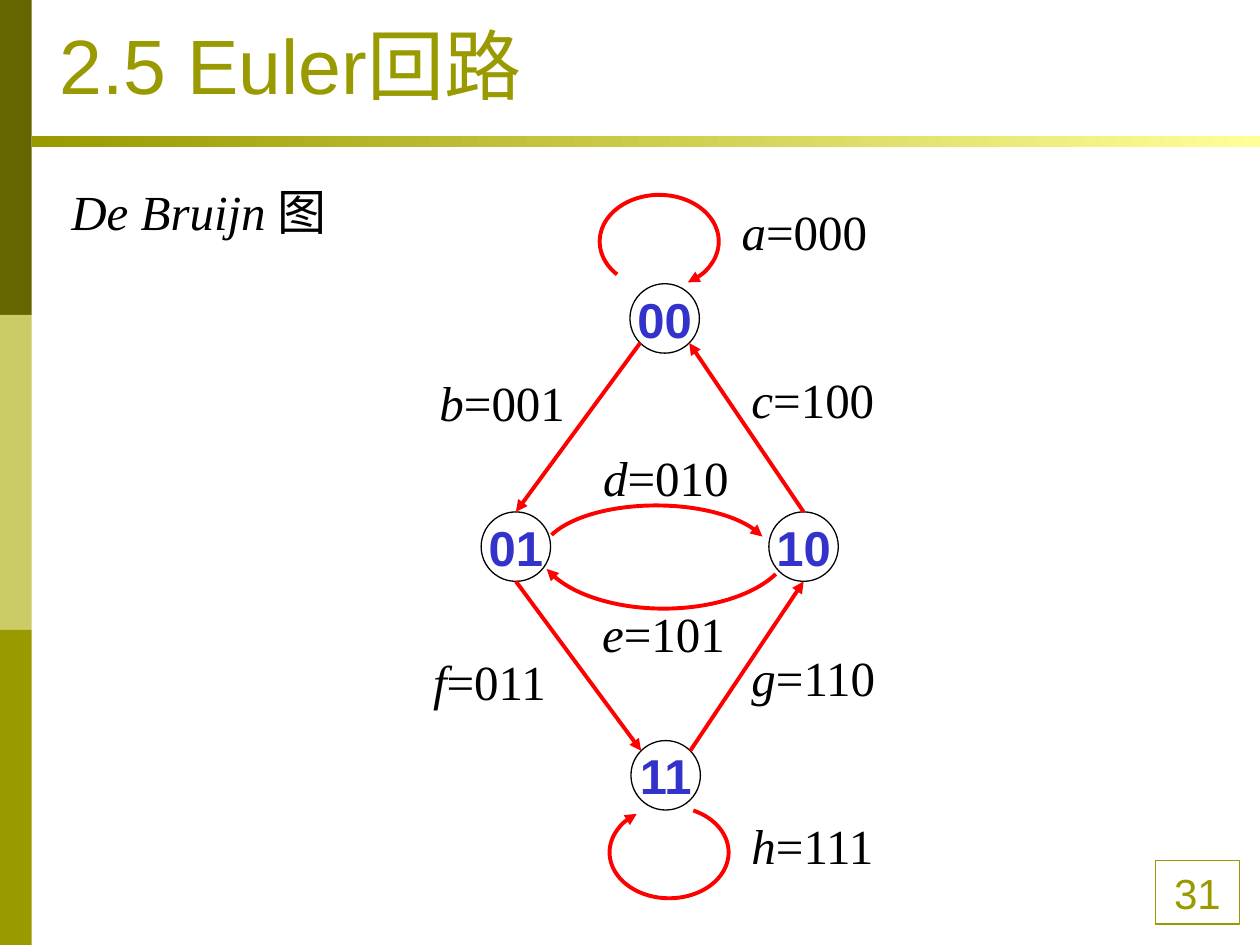
from dataclasses import dataclass
from math import cos, radians, sin

from lxml import etree
from pptx import Presentation
from pptx.dml.color import RGBColor
from pptx.enum.shapes import MSO_CONNECTOR, MSO_SHAPE as Shape
from pptx.enum.text import MSO_ANCHOR as Anchor, PP_ALIGN as Align
from pptx.oxml.ns import qn
from pptx.util import Cm, Pt

OLIVE, RED, BLUE, BLACK, WHITE = "999900", "FF0000", "3333CC", "000000", "FFFFFF"
SLIDE_W, SLIDE_H = 25.4, 19.05
SIDEBAR_W = 0.64
RADIUS = 0.7  # of a graph node


@dataclass(frozen=True)
class Node:
    name: str
    x: float  # centre
    y: float

    def rim(self, angle: float) -> tuple[float, float]:
        """Point on the circle, clockwise from the right."""
        turn = radians(angle)
        return self.x + RADIUS * cos(turn), self.y + RADIUS * sin(turn)


@dataclass(frozen=True)
class Edge:
    source: Node
    leave: float
    target: Node
    arrive: float


@dataclass(frozen=True)
class Arc:
    left: float
    top: float
    width: float
    height: float
    start: float  # degrees, drawn clockwise
    end: float


@dataclass(frozen=True)
class EdgeLabel:
    letter: str
    word: str
    left: float
    top: float


def rgb(code: str) -> RGBColor:
    return RGBColor.from_string(code)


def set_font(font, name: str, size: float, color: str) -> None:
    font.name, font.size = name, Pt(size)
    font.color.rgb = rgb(color)


def add_box(slide, kind, left, top, width, height, fill=None, line=None, weight=0.75):
    box = slide.shapes.add_shape(kind, Cm(left), Cm(top), Cm(width), Cm(height))
    box.shadow.inherit = False
    if fill:
        box.fill.solid()
        box.fill.fore_color.rgb = rgb(fill)
    else:
        box.fill.background()
    if line:
        box.line.color.rgb = rgb(line)
        box.line.width = Pt(weight)
    else:
        box.line.fill.background()
    return box


def write_centred(box, text: str, size: float, color: str, bold: bool) -> None:
    frame = box.text_frame
    frame.margin_left = frame.margin_right = 0
    frame.margin_top = frame.margin_bottom = 0
    frame.word_wrap = False
    frame.vertical_anchor = Anchor.MIDDLE
    paragraph = frame.paragraphs[0]
    paragraph.text, paragraph.alignment = text, Align.CENTER
    set_font(paragraph.font, "Arial", size, color)
    paragraph.font.bold = bold


def add_arrowhead(line) -> None:
    etree.SubElement(line._get_or_add_ln(), qn("a:tailEnd"), type="triangle")


def draw_node(slide, node: Node) -> None:
    circle = add_box(slide, Shape.OVAL, node.x - RADIUS, node.y - RADIUS,
                     2 * RADIUS, 2 * RADIUS, WHITE, BLACK)
    write_centred(circle, node.name, 28, BLUE, True)


def draw_edge(slide, edge: Edge) -> None:
    ends = edge.source.rim(edge.leave) + edge.target.rim(edge.arrive)
    arrow = slide.shapes.add_connector(MSO_CONNECTOR.STRAIGHT, *map(Cm, ends))
    arrow.line.color.rgb = rgb(RED)
    arrow.line.width = Pt(2.25)
    add_arrowhead(arrow.line)
    etree.SubElement(arrow._element.spPr, qn("a:effectLst"))


def draw_arc(slide, arc: Arc) -> None:
    curve = add_box(slide, Shape.ARC, arc.left, arc.top, arc.width, arc.height,
                    line=RED, weight=2.25)
    # Angles are stored in 60000ths, adjustments in 100000ths
    curve.adjustments[0] = arc.start * 0.6
    curve.adjustments[1] = arc.end * 0.6
    add_arrowhead(curve.line)


def draw_text(slide, italic: str, upright: str, left, top, width, height=1.45) -> None:
    frame = slide.shapes.add_textbox(Cm(left), Cm(top), Cm(width), Cm(height)).text_frame
    frame.word_wrap = True
    paragraph = frame.paragraphs[0]
    for text, slanted in ((italic, True), (upright, False)):
        run = paragraph.add_run()
        run.text, run.font.italic = text, slanted
    set_font(paragraph.font, "Times New Roman", 28, BLACK)


def draw_frame(slide) -> None:
    # Sidebar
    band_h = SLIDE_H / 3
    for row, color in enumerate(("666600", "CCCC66", OLIVE)):
        add_box(slide, Shape.RECTANGLE, 0, row * band_h, SIDEBAR_W, band_h, color)
    # Rule under the title
    rule = add_box(slide, Shape.RECTANGLE, SIDEBAR_W, 2.74, SLIDE_W - SIDEBAR_W, 0.23)
    rule.fill.gradient()
    rule.fill.gradient_angle = 0
    for stop, color in zip(rule.fill.gradient_stops, (OLIVE, "FFFF99")):
        stop.color.rgb = rgb(color)
    # Page number
    page = add_box(slide, Shape.RECTANGLE, 23.29, 17.35, 1.7, 1.28, line=OLIVE)
    write_centred(page, "31", 24, OLIVE, False)


def draw_title(slide, text: str) -> None:
    title = slide.shapes.title
    title.left, title.top, title.width, title.height = map(Cm, (0.94, 0.64, 11.96, 1.7))
    title.text_frame.vertical_anchor = Anchor.BOTTOM
    title.text_frame.word_wrap = False
    paragraph = title.text_frame.paragraphs[0]
    paragraph.text, paragraph.alignment = text, Align.LEFT
    set_font(paragraph.font, "Arial", 44, OLIVE)


N00, N11 = Node("00", 13.4, 6.42), Node("11", 13.42, 15.63)
N01, N10 = Node("01", 10.4, 11.02), Node("10", 16.2, 11.02)

EDGES = (
    Edge(N00, 135, N01, 270),
    Edge(N10, 270, N00, 45),
    Edge(N01, 90, N11, 225),
    Edge(N11, 315, N10, 90),
)
ARCS = (
    Arc(12.09, 3.93, 2.4, 1.88, 142, 55),     # loop at 00
    Arc(12.29, 16.26, 2.4, 1.85, 300, 230),   # loop at 11
    Arc(10.92, 10.19, 4.62, 2.01, 191, 350),  # 01 to 10
    Arc(10.8, 9.58, 5.16, 2.69, 16, 167),     # 10 to 01
)
LABELS = (
    EdgeLabel("a", "000", 14.7, 3.94),
    EdgeLabel("b", "001", 8.61, 7.39),
    EdgeLabel("c", "100", 14.9, 7.32),
    EdgeLabel("d", "010", 11.91, 8.89),
    EdgeLabel("e", "101", 11.89, 12.04),
    EdgeLabel("f", "011", 8.48, 13),
    EdgeLabel("g", "110", 14.9, 12.93),
    EdgeLabel("h", "111", 14.9, 16.31),
)


def main() -> None:
    deck = Presentation()
    deck.slide_width, deck.slide_height = Cm(SLIDE_W), Cm(SLIDE_H)
    slide = deck.slides.add_slide(deck.slide_layouts[5])
    draw_frame(slide)
    draw_title(slide, "2.5 Euler回路")
    # De Bruijn graph
    for node in (N00, N11, N10, N01):
        draw_node(slide, node)
    for edge in EDGES:
        draw_edge(slide, edge)
    for arc in ARCS:
        draw_arc(slide, arc)
    for label in LABELS:
        draw_text(slide, label.letter, "=" + label.word, label.left, label.top, 3.4)
    draw_text(slide, "De Bruijn ", "图", 1.19, 3.53, 5.9)
    deck.save("out.pptx")


if __name__ == "__main__":
    main()
